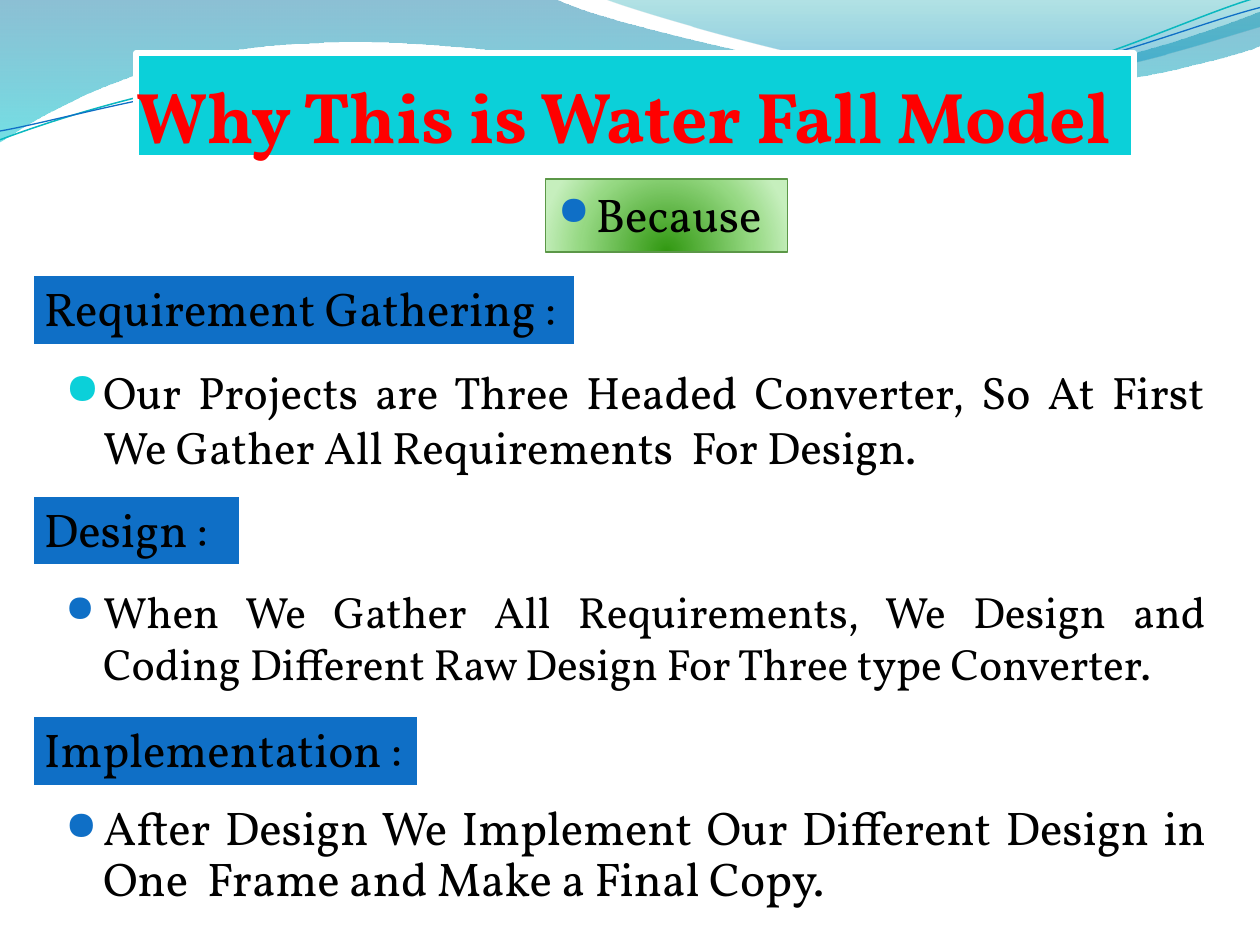
import dataclasses
import lxml.etree
import pptx
import pptx.dml.color
import pptx.enum.shapes
import pptx.enum.text
import pptx.oxml
import pptx.oxml.ns
import pptx.util

Inches = pptx.util.Inches
Pt = pptx.util.Pt
qn = pptx.oxml.ns.qn
Align = pptx.enum.text.PP_ALIGN
Anchor = pptx.enum.text.MSO_ANCHOR


@dataclasses.dataclass(frozen=True)
class Theme:
    font: str = "Vollkorn"
    bullet_font: str = "OpenSymbol"
    ink: str = "000000"
    title_ink: str = "FF0000"
    white: str = "FFFFFF"
    aqua: str = "0BD0D9"
    blue: str = "0F6FC6"
    teal_line: str = "0AB8BF"
    green_line: str = "5B9747"
    title_size: float = 41
    label_size: float = 27
    indent: float = 0.3
    wave_stops: tuple = ((0, "0074A1", 45), (100, "00C6CF", 55))
    crest_stops: tuple = ((0, "00A1A9", 30), (80, "008BBF", 45))
    green_stops: tuple = ((0, "319811", 100), (68, "95D882", 100), (100, "C6EFBD", 100))


THEME = Theme()
LINEAR = '<a:lin ang="5400000" scaled="0"/>'
RADIAL = '<a:path path="circle"><a:fillToRect l="50000" t="130000" r="50000" b="-30000"/></a:path>'

WAVE = ((0, 0), [
    (4.4, -0.01), (4.76, 0.17, 6.64, 0.63, 7.58, 0.63), (8.53, 0.63, 9.58, 0.26, 10, 0.09),
    (10.01, 0.36), (9.83, 0.44, 8.7, 0.76, 7.46, 0.75), (6.22, 0.75, 3.82, 0.28, 2.57, 0.34),
    (1.29, 0.36, 0.46, 0.83, -0.01, 1.13), (0, 0)])
CREST = ((4.79, -0.01), [
    (5.09, 0.11, 6.82, 0.62, 7.69, 0.65), (8.56, 0.69, 9.61, 0.32, 10, 0.21), (10, 0), (4.79, -0.01)])
TEAL_STRAND = ((0, 1.11), [
    (0.48, 0.93, 1.58, 0.57, 2.77, 0.52), (3.95, 0.47, 5.93, 0.89, 7.13, 0.8),
    (8.33, 0.71, 9.38, 0.15, 9.98, -0.02)])
BLUE_STRAND = ((0, 1.04), [
    (0.47, 0.96, 1.64, 0.61, 2.83, 0.56), (4.03, 0.51, 5.97, 0.84, 7.17, 0.75),
    (8.36, 0.67, 9.41, 0.21, 10, 0.06)])

STAGES = [
    (2.17, 4.33, "Requirement Gathering : ",
     "Our Projects are Three Headed Converter, So At First We Gather All Requirements  For Design. ",
     26, THEME.aqua, 95, None),
    (3.92, 1.67, "Design :",
     "When We Gather All Requirements, We Design and Coding Different Raw Design For Three type Converter.",
     25, THEME.blue, 85, None),
    (5.67, 3.08, "Implementation :",
     "After Design We Implement Our Different Design in One  Frame and Make a Final Copy. ",
     27, THEME.blue, 85, 0.9),
]


def rgb(value):
    return pptx.dml.color.RGBColor.from_string(value)


def outline(shape, color, width):
    shape.line.color.rgb = rgb(color)
    shape.line.width = Pt(width)


def fill_solid(shape, color):
    shape.fill.solid()
    shape.fill.fore_color.rgb = rgb(color)


def fill_gradient(shape, stops, direction):
    shape.fill.gradient()
    old = shape.element.spPr.find(qn("a:gradFill"))
    marks = "".join(
        f'<a:gs pos="{pos * 1000}"><a:srgbClr val="{color}"><a:alpha val="{opacity * 1000}"/></a:srgbClr></a:gs>'
        for pos, color, opacity in stops)
    new = pptx.oxml.parse_xml(
        f'<a:gradFill {pptx.oxml.ns.nsdecls("a")} rotWithShape="1"><a:gsLst>{marks}</a:gsLst>{direction}</a:gradFill>')
    old.getparent().replace(old, new)


def add_curve(slide, start, segments, closed):
    builder = slide.shapes.build_freeform(Inches(start[0]), Inches(start[1]), scale=1.0)
    builder.add_line_segments([(Inches(s[-2]), Inches(s[-1])) for s in segments], close=closed)
    shape = builder.convert_to_shape()
    shape.shadow.inherit = False
    straights = list(shape.element.spPr.iter(qn("a:lnTo")))
    for straight, segment in zip(straights, segments):
        if len(segment) == 6:
            bend = lxml.etree.Element(qn("a:cubicBezTo"))
            for x, y in zip(segment[::2], segment[1::2]):
                point = lxml.etree.SubElement(bend, qn("a:pt"))
                point.set("x", str(Inches(x) - shape.left))
                point.set("y", str(Inches(y) - shape.top))
            straight.getparent().replace(straight, bend)
    return shape


def add_waves(slide):
    for curve, stops in ((WAVE, THEME.wave_stops), (CREST, THEME.crest_stops)):
        wave = add_curve(slide, *curve, True)
        fill_gradient(wave, stops, LINEAR)
        wave.line.fill.background()
    for curve, color, width in ((TEAL_STRAND, THEME.teal_line, 0.85), (BLUE_STRAND, THEME.blue, 0.75)):
        strand = add_curve(slide, *curve, False)
        strand.fill.background()
        outline(strand, color, width)


def write(shape, text, size, color=THEME.ink, align=Align.LEFT, anchor=Anchor.TOP):
    frame = shape.text_frame
    frame.word_wrap = True
    frame.auto_size = pptx.enum.text.MSO_AUTO_SIZE.NONE
    frame.vertical_anchor = anchor
    frame.text = text
    paragraph = frame.paragraphs[0]
    paragraph.alignment = align
    paragraph.font.name = THEME.font
    paragraph.font.size = Pt(size)
    paragraph.font.color.rgb = rgb(color)
    return paragraph


def hang(paragraph, size, bullet_color=None, bullet_scale=85):
    paragraph.space_before = Pt(size * 0.2)
    properties = paragraph._p.get_or_add_pPr()
    properties.set("marL", str(Inches(THEME.indent)))
    properties.set("indent", str(-Inches(THEME.indent)))
    if bullet_color:
        color = lxml.etree.SubElement(properties, qn("a:buClr"))
        lxml.etree.SubElement(color, qn("a:srgbClr")).set("val", bullet_color)
        lxml.etree.SubElement(properties, qn("a:buSzPct")).set("val", str(bullet_scale * 1000))
        lxml.etree.SubElement(properties, qn("a:buFont")).set("typeface", THEME.bullet_font)
        lxml.etree.SubElement(properties, qn("a:buChar")).set("char", "●")
        properties.extend(properties.findall(qn("a:defRPr")))


def add_box(slide, left, top, width, height):
    box = slide.shapes.add_shape(
        pptx.enum.shapes.MSO_SHAPE.RECTANGLE, Inches(left), Inches(top), Inches(width), Inches(height))
    box.shadow.inherit = False
    return box


def add_title(slide, left, top, width, height):
    title = slide.shapes.title
    title.left, title.top, title.width, title.height = map(Inches, (left, top, width, height))
    fill_solid(title, THEME.aqua)
    outline(title, THEME.white, 3)
    heading = write(title, "Why This is Water Fall Model", THEME.title_size, THEME.title_ink, anchor=Anchor.BOTTOM)
    heading.font.bold = True
    frame = title.text_frame
    frame.margin_left = frame.margin_right = frame.margin_bottom = 0
    frame.margin_top = Inches(0.05)
    slide.shapes.element.append(title.element)


def add_because(slide, left, top, width, height):
    because = add_box(slide, left, top, width, height)
    fill_gradient(because, THEME.green_stops, RADIAL)
    outline(because, THEME.green_line, 0.75)
    hang(write(because, "Because", THEME.label_size), THEME.label_size, THEME.blue)


def add_stage(slide, left, top, label_width, label, detail, size, bullet_color, bullet_scale, spacing):
    tag = add_box(slide, left, top, label_width, 0.58)
    fill_solid(tag, THEME.blue)
    outline(tag, THEME.white, 3)
    hang(write(tag, label, THEME.label_size), THEME.label_size)
    body = slide.shapes.add_textbox(Inches(left + 0.17), Inches(top + 0.67), Inches(9.25), Inches(1))
    paragraph = write(body, detail, size, align=Align.JUSTIFY)
    paragraph.line_spacing = spacing
    hang(paragraph, size, bullet_color, bullet_scale)


def main():
    deck = pptx.Presentation()
    deck.slide_width, deck.slide_height = Inches(10), Inches(7.5)
    slide = deck.slides.add_slide(deck.slide_layouts.get_by_name("Title Only"))
    add_waves(slide)
    add_title(slide, 1.08, 0.42, 7.92, 0.83)
    for top, *stage in STAGES:
        add_stage(slide, 0.25, top, *stage)
    add_because(slide, 4.33, 1.42, 1.92, 0.58)
    deck.save("out.pptx")


main()
